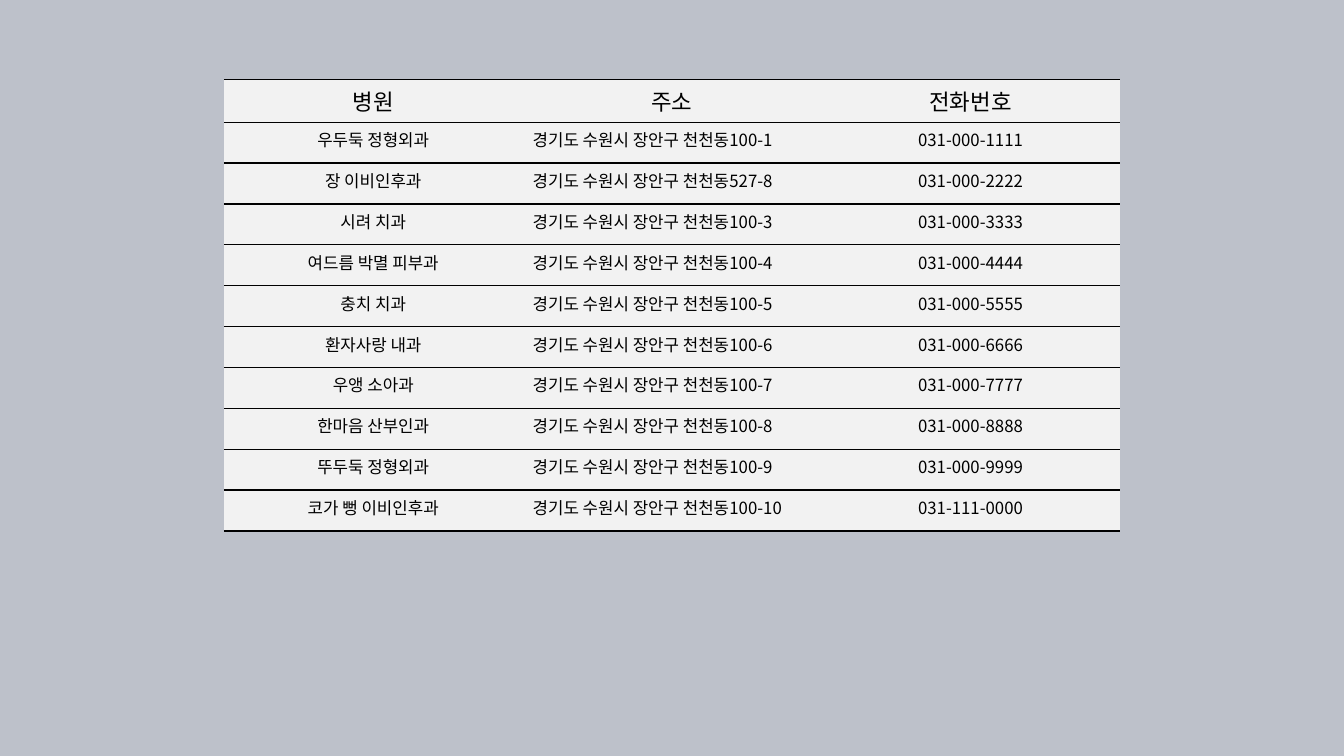
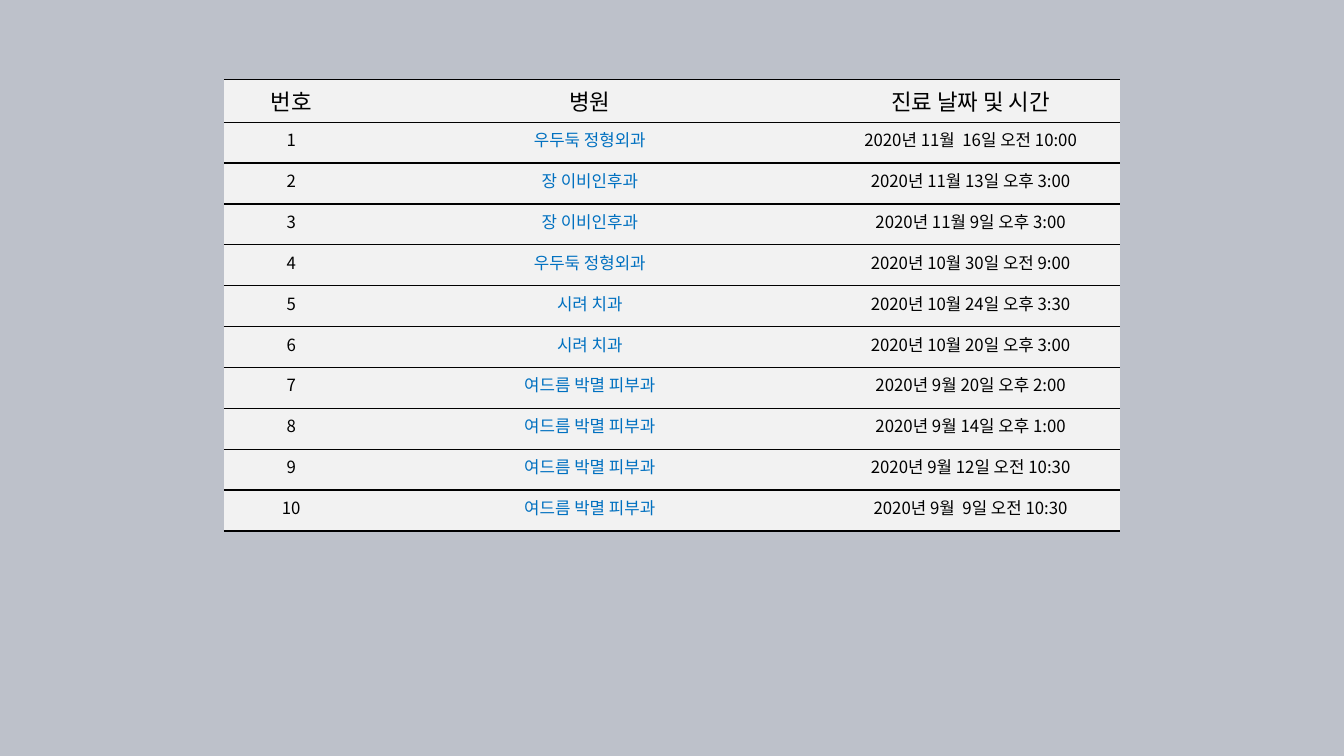
from lxml import etree
from pptx import Presentation
from pptx.dml.color import RGBColor
from pptx.enum.text import MSO_ANCHOR as ANCHOR, PP_ALIGN as ALIGN
from pptx.oxml.ns import qn
from pptx.util import Pt

FONT = "Noto Sans CJK KR"
BACKGROUND, CELL, INK, LINK = "BDC1CA", "F2F2F2", "000000", "0070C0"
LEFT, TOP, WIDTH, ROW = 160, 57, 640, 29.2
HEADER_SIZE, BODY_SIZE = 16, 12
BORDERS = {"a:lnL": None, "a:lnR": None, "a:lnT": INK, "a:lnB": INK}

DISTRICT = "경기도 수원시 장안구 천천동"
HOSPITALS = [
    ("우두둑 정형외과", "100-1", "031-000-1111"),
    ("장 이비인후과", "527-8", "031-000-2222"),
    ("시려 치과", "100-3", "031-000-3333"),
    ("여드름 박멸 피부과", "100-4", "031-000-4444"),
    ("충치 치과", "100-5", "031-000-5555"),
    ("환자사랑 내과", "100-6", "031-000-6666"),
    ("우앵 소아과", "100-7", "031-000-7777"),
    ("한마음 산부인과", "100-8", "031-000-8888"),
    ("뚜두둑 정형외과", "100-9", "031-000-9999"),
    ("코가 뻥 이비인후과", "100-10", "031-111-0000"),
]
VISITS = [
    ("우두둑 정형외과", "2020년 11월  16일 오전 10:00"),
    ("장 이비인후과", "2020년 11월 13일 오후 3:00"),
    ("장 이비인후과", "2020년 11월 9일 오후 3:00"),
    ("우두둑 정형외과", "2020년 10월 30일 오전 9:00"),
    ("시려 치과", "2020년 10월 24일 오후 3:30"),
    ("시려 치과", "2020년 10월 20일 오후 3:00"),
    ("여드름 박멸 피부과", "2020년 9월 20일 오후 2:00"),
    ("여드름 박멸 피부과", "2020년 9월 14일 오후 1:00"),
    ("여드름 박멸 피부과", "2020년 9월 12일 오전 10:30"),
    ("여드름 박멸 피부과", "2020년 9월  9일 오전 10:30"),
]


def set_fill(fill, color):
    """Fill with a solid colour given as a hex string."""
    fill.solid()
    fill.fore_color.rgb = RGBColor.from_string(color)


def set_borders(cell):
    """Rule a cell above and below, leaving its sides open."""
    tc_pr = cell._tc.get_or_add_tcPr()
    for i, (tag, color) in enumerate(BORDERS.items()):
        ln = etree.Element(qn(tag), w=str(Pt(1)))
        if color:
            solid = etree.SubElement(ln, qn("a:solidFill"))
            etree.SubElement(solid, qn("a:srgbClr"), val=color)
        else:
            etree.SubElement(ln, qn("a:noFill"))
        tc_pr.insert(i, ln)


def write_cell(cell, text, size, color=INK, align=ALIGN.CENTER):
    """Write and format one table cell."""
    set_fill(cell.fill, CELL)
    set_borders(cell)
    cell.vertical_anchor = ANCHOR.TOP
    p = cell.text_frame.paragraphs[0]
    p.alignment = align
    r = p.add_run()
    r.text = text
    for name, value in {"size": Pt(size), "name": FONT, "bold": False}.items():
        setattr(r.font, name, value)
    set_fill(r.font.fill, color)
    etree.SubElement(r.font._element, qn("a:ea"), typeface=FONT)


def add_table_slide(prs, widths, header, rows, formats):
    """Add a slide with a ruled table; formats maps a column to its body style."""
    s = prs.slides.add_slide(prs.slide_layouts[6])
    lines = [header, *rows]
    table = s.shapes.add_table(len(lines), len(header), Pt(LEFT), Pt(TOP),
                               Pt(WIDTH), Pt(ROW * len(lines))).table
    for name in ("first_row", "horz_banding"):
        setattr(table, name, False)
    for column, width in zip(table.columns, widths):
        column.width = Pt(width)
    for i, line in enumerate(lines):
        table.rows[i].height = Pt(ROW)
        for j, text in enumerate(line):
            style = formats.get(j, {}) if i else {}
            write_cell(table.cell(i, j), text, BODY_SIZE if i else HEADER_SIZE, **style)


def main():
    """Build the hospital list and the visit history."""
    prs = Presentation()
    prs.slide_width, prs.slide_height = Pt(960), Pt(540)
    set_fill(prs.slide_master.background.fill, BACKGROUND)
    third = WIDTH / 3
    add_table_slide(prs, [third] * 3, ("병원", "주소", "전화번호"),
                    [(name, DISTRICT + lot, phone) for name, lot, phone in HOSPITALS],
                    {1: {"align": ALIGN.LEFT}})
    number = 0.15 * WIDTH
    add_table_slide(prs, [number, WIDTH - number - third, third],
                    ("번호", "병원", "진료 날짜 및 시간"),
                    [(str(i), *visit) for i, visit in enumerate(VISITS, 1)],
                    {1: {"color": LINK}})
    prs.save("out.pptx")


if __name__ == "__main__":
    main()
